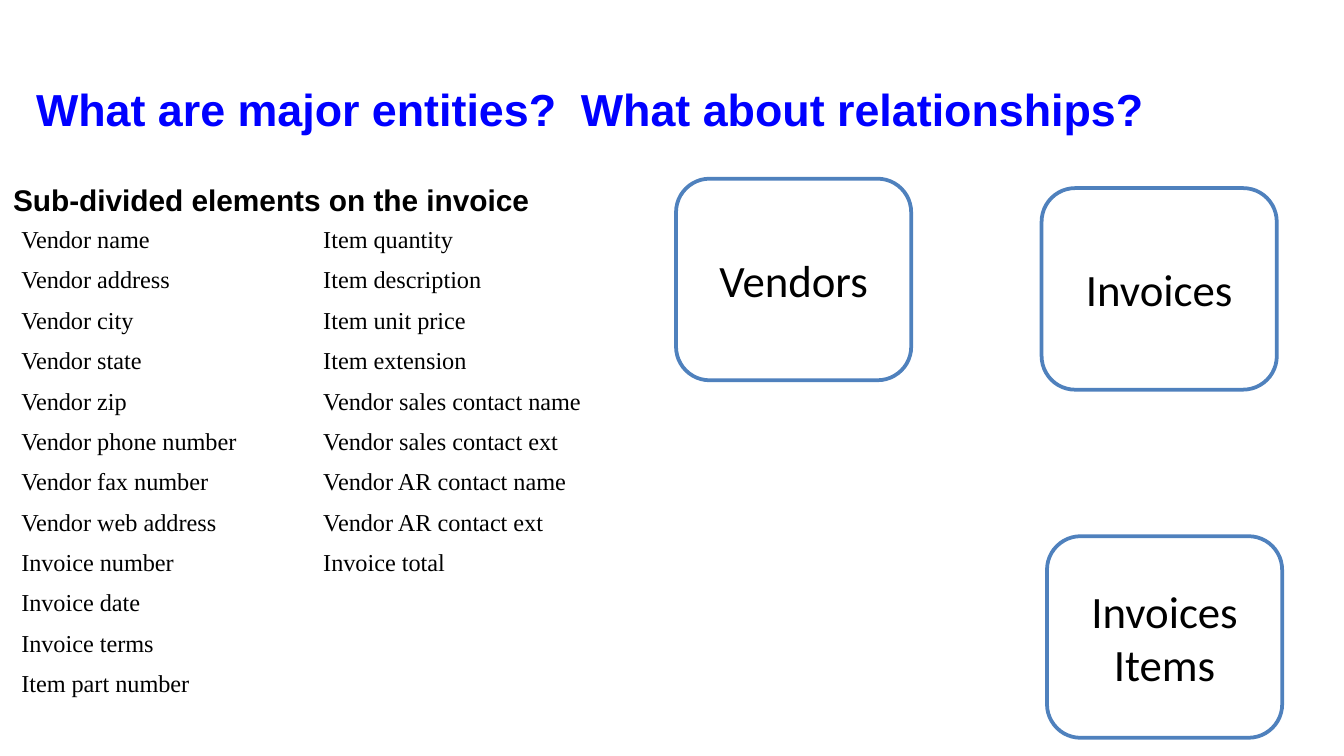
from pptx import Presentation
from pptx.dml.color import RGBColor
from pptx.enum.shapes import MSO_SHAPE
from pptx.enum.text import MSO_ANCHOR, PP_ALIGN
from pptx.util import Inches, Pt

BLACK = RGBColor(0x00, 0x00, 0x00)
WHITE = RGBColor(0xFF, 0xFF, 0xFF)
BLUE = RGBColor(0x00, 0x00, 0xFF)
OUTLINE = RGBColor(0x4F, 0x81, 0xBD)

TITLE = "What are major entities?  What about relationships?"
HEADING = "Sub-divided elements on the invoice"
ELEMENTS = [
    "Vendor name", "Vendor address", "Vendor city", "Vendor state",
    "Vendor zip", "Vendor phone number", "Vendor fax number",
    "Vendor web address", "Invoice number", "Invoice date",
    "Invoice terms", "Item part number", "Item quantity",
    "Item description", "Item unit price", "Item extension",
    "Vendor sales contact name", "Vendor sales contact ext",
    "Vendor AR contact name", "Vendor AR contact ext", "Invoice total",
]
ENTITIES = [
    (["Vendors"], 5.03, 1.33),
    (["Invoices"], 7.75, 1.4),
    (["Invoices", "Items"], 7.79, 3.99),
]
ENTITY_WIDTH, ENTITY_HEIGHT = 1.75, 1.5


def write(frame, lines, font, size, color=BLACK, bold=False, align=PP_ALIGN.LEFT, after=0):
    frame.word_wrap = True
    frame.text = "\n".join(lines)
    for para in frame.paragraphs:
        para.alignment = align
        para.space_after = Pt(after)
        para.font.name = font
        para.font.size = Pt(size)
        para.font.bold = bold
        para.font.color.rgb = color


def add_text(page, place, lines, **style):
    box = page.shapes.add_textbox(*map(Inches, place))
    write(box.text_frame, lines, after=6, **style)
    return box


def add_entity(page, lines, left, top):
    box = page.shapes.add_shape(
        MSO_SHAPE.ROUNDED_RECTANGLE,
        *map(Inches, (left, top, ENTITY_WIDTH, ENTITY_HEIGHT)))
    box.shadow.inherit = False
    box.fill.solid()
    box.fill.fore_color.rgb = WHITE
    box.line.color.rgb = OUTLINE
    box.line.width = Pt(2)
    box.text_frame.vertical_anchor = MSO_ANCHOR.MIDDLE
    write(box.text_frame, lines, font="Calibri", size=24, align=PP_ALIGN.CENTER)


def main():
    deck = Presentation()
    deck.slide_width = Inches(10)
    deck.slide_height = deck.slide_width * 9 // 16
    page = deck.slides.add_slide(deck.slide_layouts[6])

    add_text(page, (0.17, 0.56, 9.42, 0.5), [TITLE],
             font="Arial", size=24, color=BLUE, bold=True)
    for entity in ENTITIES[:2]:
        add_entity(page, *entity)
    element_list = add_text(page, (0.06, 1.62, 4.69, 3.86), ELEMENTS,
                            font="Times New Roman", size=13)
    element_list.text_frame._txBody.bodyPr.set("numCol", "2")
    add_text(page, (0, 1.3, 5, 0.37), [HEADING],
             font="Arial", size=16, bold=True)
    add_entity(page, *ENTITIES[2])

    deck.save("out.pptx")


if __name__ == "__main__":
    main()
